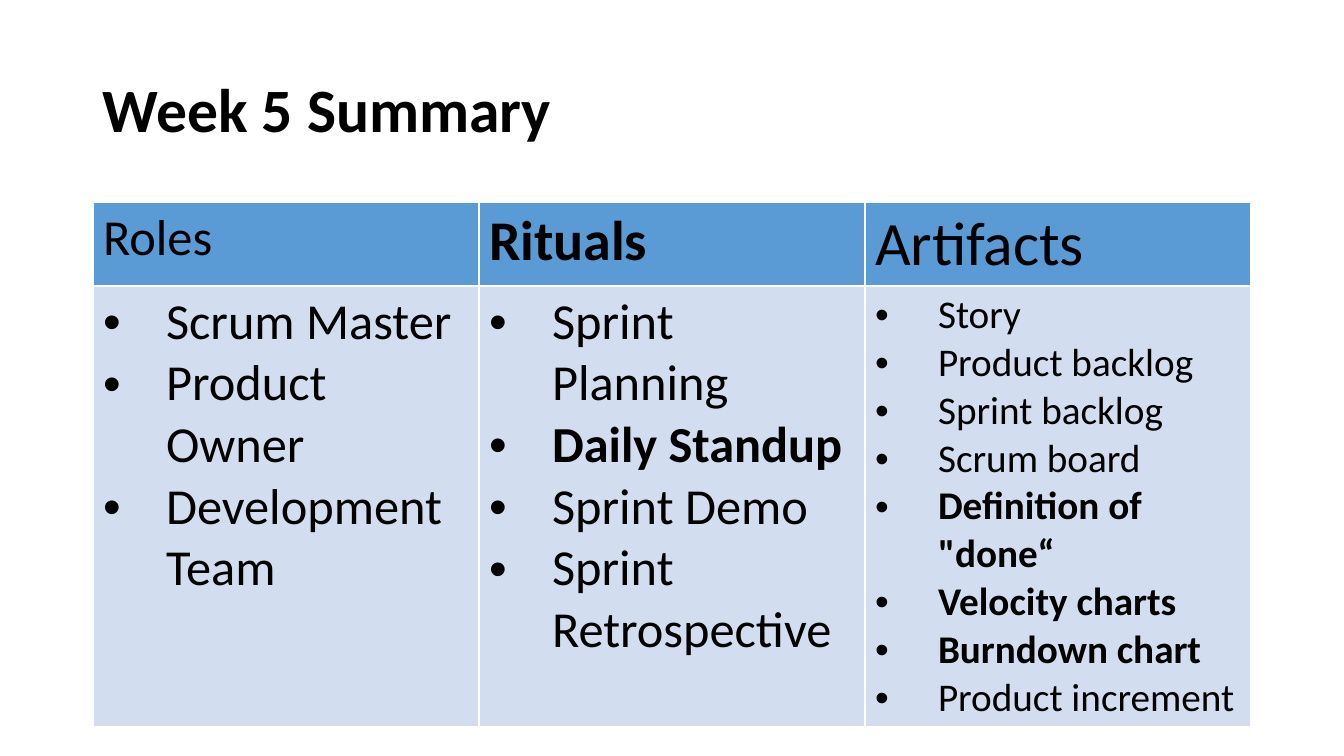
from lxml.etree import SubElement
from pptx import Presentation
from pptx.dml.color import RGBColor
from pptx.enum.text import MSO_ANCHOR
from pptx.oxml.ns import qn
from pptx.util import Pt

TITLE = "Week 5 Summary"
# heading, heading size, heading bold, item size, [(item, bold)]
COLUMNS = [
    ("Roles", 36, False, 36, [
        ("Scrum Master", False),
        ("Product Owner", False),
        ("Development Team", False),
    ]),
    ("Rituals", 40, True, 36, [
        ("Sprint Planning", False),
        ("Daily Standup", True),
        ("Sprint Demo", False),
        ("Sprint Retrospective", False),
    ]),
    ("Artifacts", 44, False, 28, [
        ("Story", False),
        ("Product backlog", False),
        ("Sprint backlog", False),
        ("Scrum board", False),
        ('Definition of "done“', True),
        ("Velocity charts", True),
        ("Burndown chart", True),
        ("Product increment", False),
    ]),
]
FONT = "Calibri"
BLACK, WHITE, HEADER_BLUE, BODY_BLUE = "000000", "FFFFFF", "5B9BD5", "D2DEEF"

EMU_PER_PX = 914400 / 100.8
SLIDE_SIZE = (1344, 756)
LEFT, COLUMN_WIDTH = 93, 386
TABLE_WIDTH = COLUMN_WIDTH * len(COLUMNS)
TITLE_TOP, TITLE_HEIGHT = 40, 146
TABLE_TOP, ROW_HEIGHTS = 202, (84, 441)
BULLET_INDENT = 63


def px(length):
    return round(length * EMU_PER_PX)


def color(value):
    return RGBColor.from_string(value)


def add_run(paragraph, text, size, bold):
    run = paragraph.add_run()
    run.text = text
    run.font.name = FONT
    run.font.size = Pt(size)
    run.font.bold = bold
    run.font.color.rgb = color(BLACK)


def add_bullet(paragraph):
    properties = paragraph._p.get_or_add_pPr()
    properties.set("marL", str(px(BULLET_INDENT)))
    properties.set("indent", str(-px(BULLET_INDENT)))
    SubElement(properties, qn("a:buFont"), typeface="Arial")
    SubElement(properties, qn("a:buChar"), char="•")


def style_cell(cell, fill):
    """Draw thin white borders, then fill the cell."""
    properties = cell._tc.get_or_add_tcPr()
    for side in ("a:lnL", "a:lnR", "a:lnT", "a:lnB"):
        border = SubElement(properties, qn(side), w=str(Pt(1)))
        solid = SubElement(border, qn("a:solidFill"))
        SubElement(solid, qn("a:srgbClr"), val=WHITE)
    cell.fill.solid()
    cell.fill.fore_color.rgb = color(fill)


def add_title(slide):
    title = slide.shapes.add_textbox(
        px(LEFT), px(TITLE_TOP), px(TABLE_WIDTH), px(TITLE_HEIGHT))
    frame = title.text_frame
    frame.word_wrap = True
    frame.vertical_anchor = MSO_ANCHOR.MIDDLE
    frame.paragraphs[0].line_spacing = 0.9
    add_run(frame.paragraphs[0], TITLE, 44, True)


def add_summary_table(slide):
    table = slide.shapes.add_table(
        len(ROW_HEIGHTS), len(COLUMNS), px(LEFT), px(TABLE_TOP),
        px(TABLE_WIDTH), px(sum(ROW_HEIGHTS))).table
    for row, height in zip(table.rows, ROW_HEIGHTS):
        row.height = px(height)
    for index, (heading, heading_size, heading_bold, item_size, items) in enumerate(COLUMNS):
        table.columns[index].width = px(COLUMN_WIDTH)
        header, body = table.cell(0, index), table.cell(1, index)
        style_cell(header, HEADER_BLUE)
        style_cell(body, BODY_BLUE)
        add_run(header.text_frame.paragraphs[0], heading, heading_size, heading_bold)
        frame = body.text_frame
        for position, (item, bold) in enumerate(items):
            paragraph = frame.add_paragraph() if position else frame.paragraphs[0]
            add_bullet(paragraph)
            add_run(paragraph, item, item_size, bold)


def main():
    deck = Presentation()
    deck.slide_width, deck.slide_height = map(px, SLIDE_SIZE)
    slide = deck.slides.add_slide(deck.slide_layouts[6])
    add_title(slide)
    add_summary_table(slide)
    deck.save("out.pptx")


if __name__ == "__main__":
    main()
